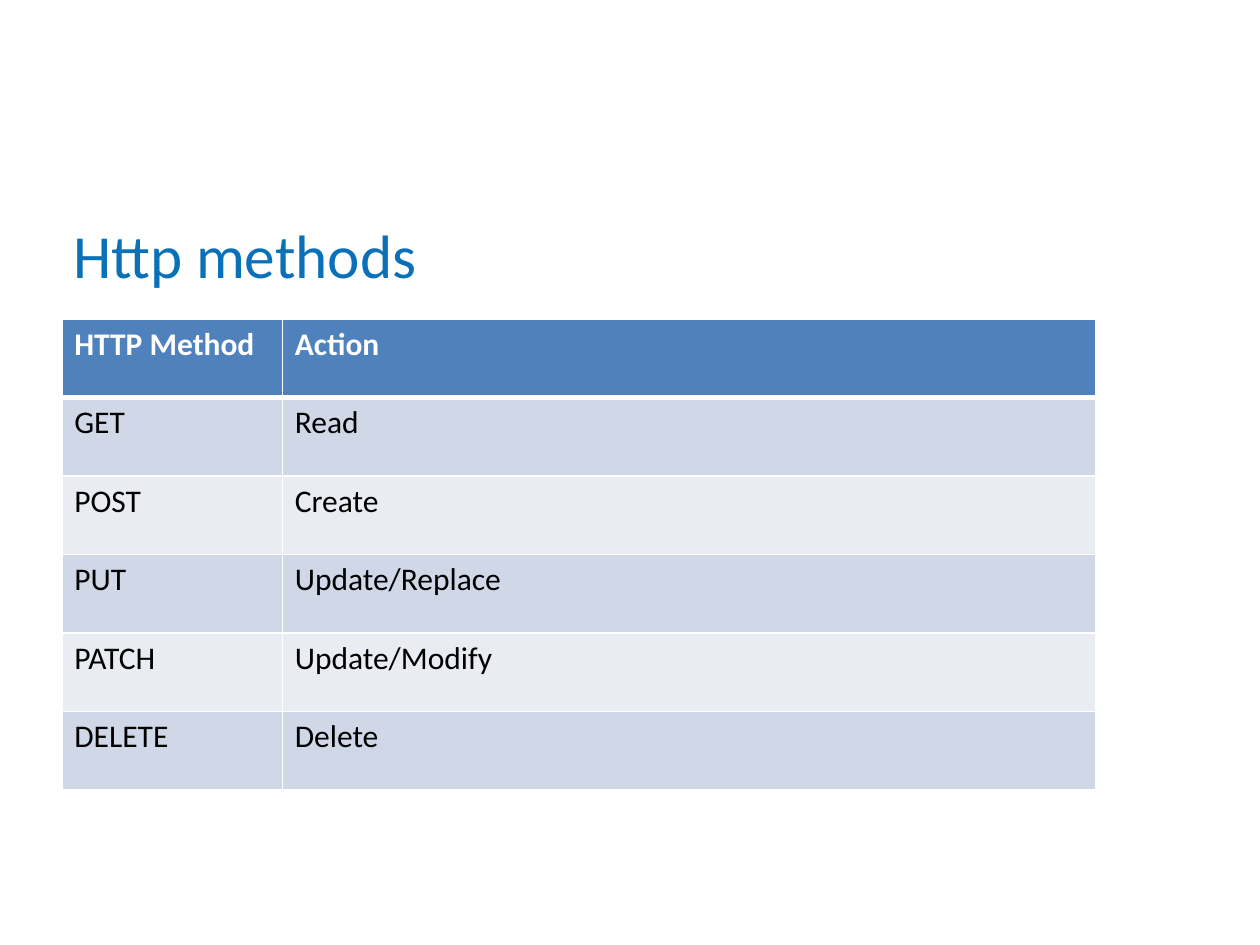
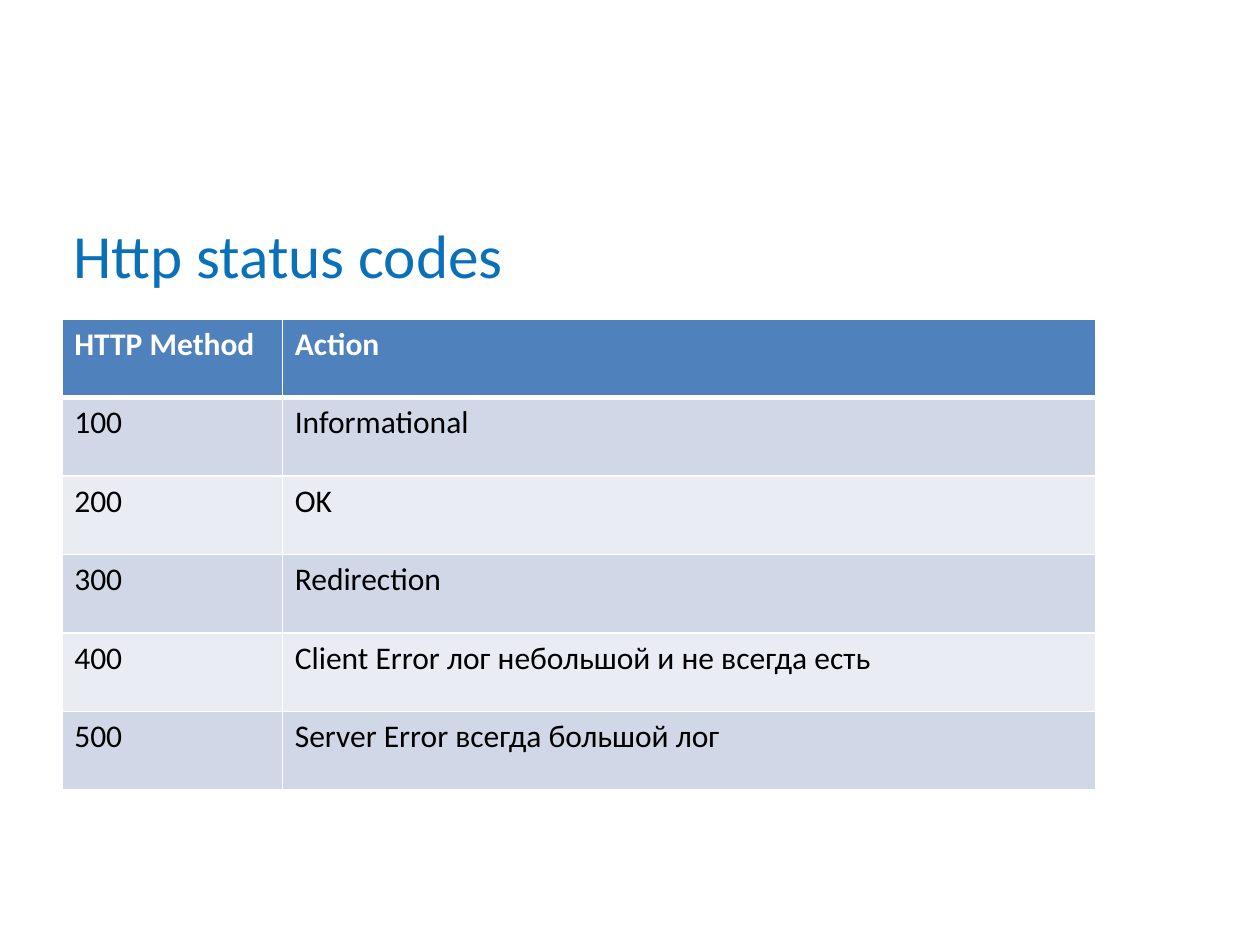
from dataclasses import dataclass

import lxml.etree
import pptx
import pptx.dml.color
import pptx.enum.text
import pptx.oxml.ns
import pptx.util

Inches = pptx.util.Inches
Pt = pptx.util.Pt


@dataclass(frozen=True)
class Theme:
    font: str = "Calibri"
    title_size: float = 35
    table_size: float = 18
    title_color: str = "0A71B9"
    header_fill: str = "4F81BD"
    header_text: str = "FFFFFF"
    body_text: str = "000000"
    band_fills: tuple = ("D0D8E7", "E9ECF3")
    border_color: str = "FFFFFF"
    border_width: float = 0.96
    header_rule_width: float = 3


THEME = Theme()
TITLE_BOX = (0.48, 1.11, 9, 1.25)
TABLE_BOX = (0.49, 2.53, 8.21, 3.74)
FIRST_COLUMN_WIDTH = 1.75
HEADER = ("HTTP Method", "Action")

SLIDES = (
    ("Http methods", (
        ("GET", "Read"),
        ("POST", "Create"),
        ("PUT", "Update/Replace"),
        ("PATCH", "Update/Modify"),
        ("DELETE", "Delete"),
    )),
    ("Http status codes", (
        ("100", "Informational"),
        ("200", "OK"),
        ("300", "Redirection"),
        ("400", "Client Error лог небольшой и не всегда есть"),
        ("500", "Server Error всегда большой лог"),
    )),
)


def apply_format(target, values):
    for name, value in values.items():
        setattr(target, name, value)


def write_text(text_frame, text, size, color, bold=False):
    paragraph = text_frame.paragraphs[0]
    paragraph.alignment = pptx.enum.text.PP_ALIGN.LEFT
    run = paragraph.add_run()
    run.text = text
    apply_format(run.font, {"name": THEME.font, "size": Pt(size), "bold": bold})
    run.font.color.rgb = pptx.dml.color.RGBColor.from_string(color)


def set_borders(cell, widths):
    qualified = pptx.oxml.ns.qn
    properties = cell._tc.get_or_add_tcPr()
    for side, width in widths.items():
        line = lxml.etree.SubElement(properties, qualified(f"a:ln{side}"), w=str(int(Pt(width))))
        fill = lxml.etree.SubElement(line, qualified("a:solidFill"))
        lxml.etree.SubElement(fill, qualified("a:srgbClr"), val=THEME.border_color)


def place_title(slide, box, text):
    title = slide.shapes.title
    apply_format(title, dict(zip(("left", "top", "width", "height"), map(Inches, box))))
    apply_format(title.text_frame, {
        "auto_size": pptx.enum.text.MSO_AUTO_SIZE.NONE,
        "vertical_anchor": pptx.enum.text.MSO_ANCHOR.BOTTOM,
        "word_wrap": True,
        "margin_left": Inches(0.1),
        "margin_right": Inches(0.1),
        "margin_top": Inches(0.05),
        "margin_bottom": Inches(0.05),
    })
    write_text(title.text_frame, text, THEME.title_size, THEME.title_color)


def style_cell(cell, row_index, text):
    is_header = row_index == 0
    rule, thin = THEME.header_rule_width, THEME.border_width
    set_borders(cell, {
        "L": thin,
        "R": thin,
        "T": rule if row_index == 1 else thin,
        "B": rule if is_header else thin,
    })
    fill = THEME.header_fill if is_header else THEME.band_fills[(row_index - 1) % 2]
    cell.fill.solid()
    cell.fill.fore_color.rgb = pptx.dml.color.RGBColor.from_string(fill)
    color = THEME.header_text if is_header else THEME.body_text
    write_text(cell.text_frame, text, THEME.table_size, color, is_header)


def place_table(slide, box, rows):
    left, top, width, height = box
    table = slide.shapes.add_table(len(rows), len(HEADER), *map(Inches, box)).table
    table.columns[0].width = Inches(FIRST_COLUMN_WIDTH)
    table.columns[1].width = Inches(width - FIRST_COLUMN_WIDTH)
    for row_index, row in enumerate(rows):
        table.rows[row_index].height = Inches(height / len(rows))
        for column_index, text in enumerate(row):
            style_cell(table.cell(row_index, column_index), row_index, text)


def build_table_slide(presentation, title, rows):
    slide = presentation.slides.add_slide(presentation.slide_layouts.get_by_name("Title Only"))
    place_title(slide, TITLE_BOX, title)
    place_table(slide, TABLE_BOX, (HEADER, *rows))


presentation = pptx.Presentation()
apply_format(presentation, {"slide_width": Inches(10), "slide_height": Inches(7.5)})
for title, rows in SLIDES:
    build_table_slide(presentation, title, rows)
presentation.save("out.pptx")
